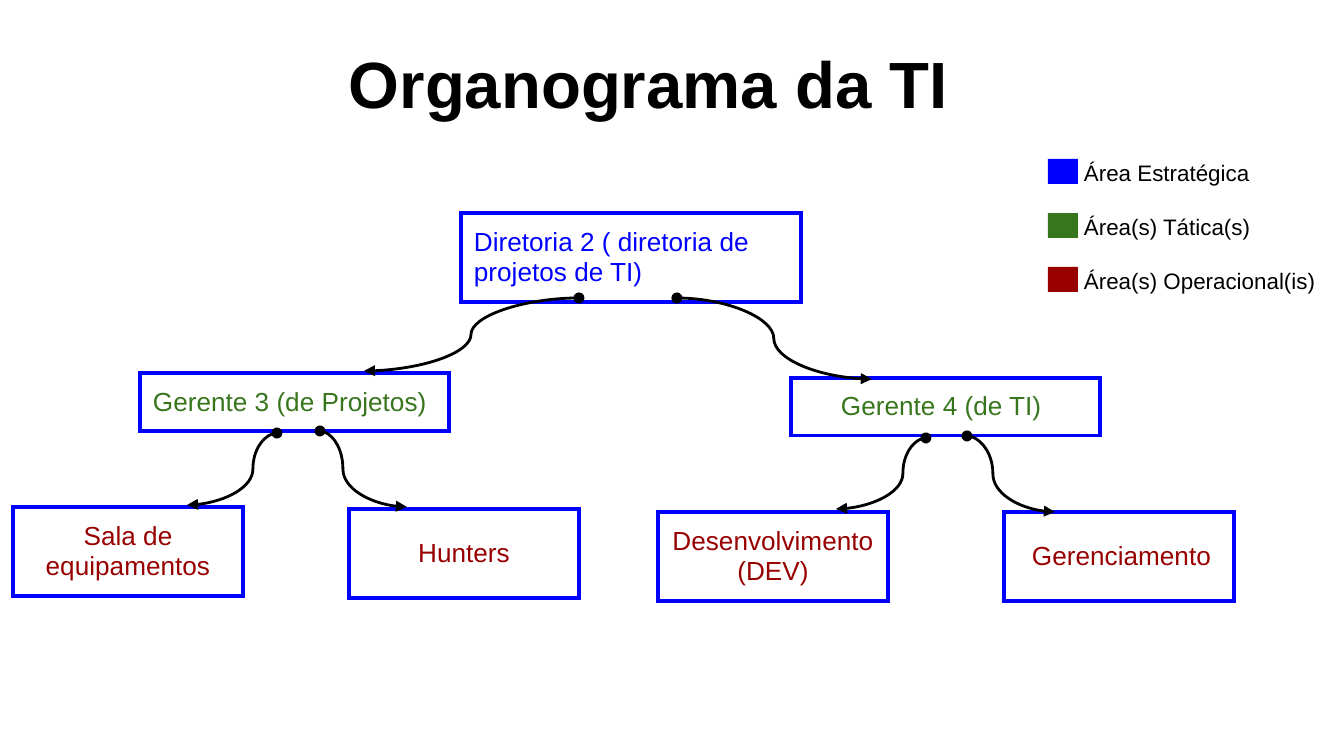
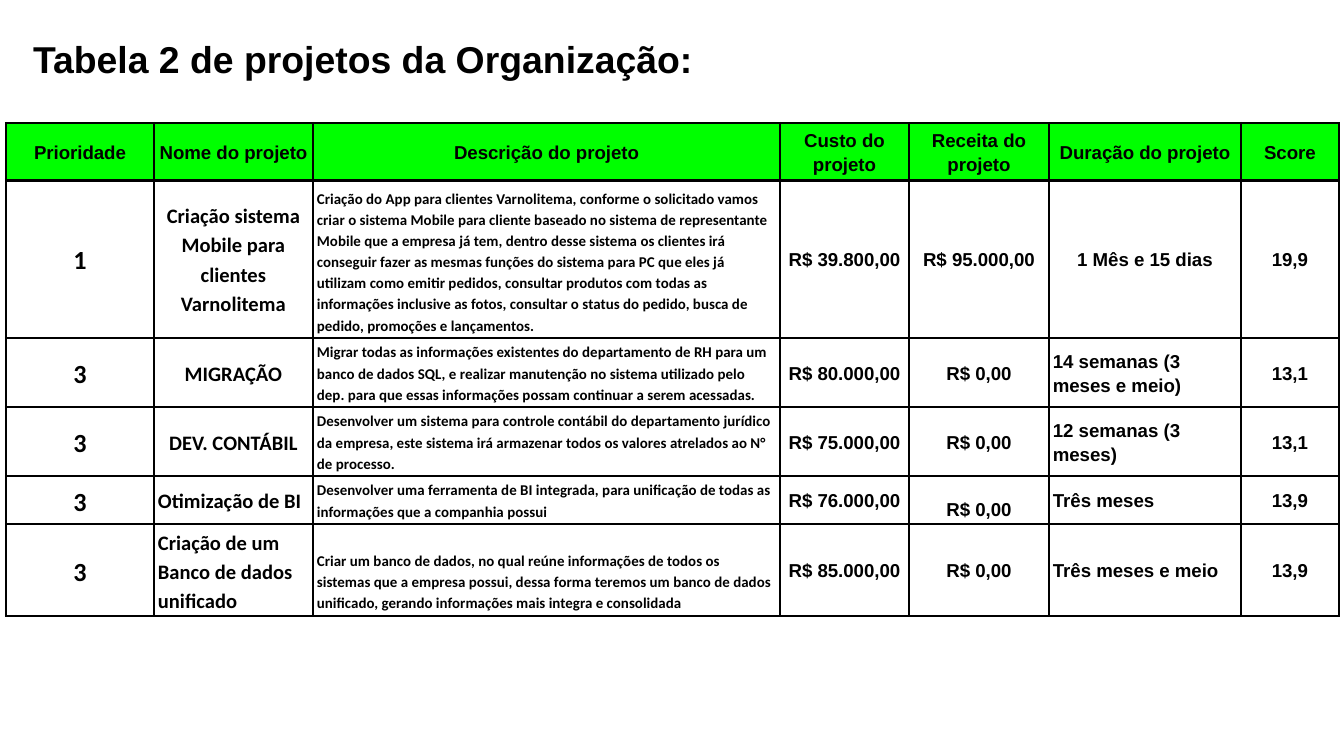
from lxml import etree
from pptx import Presentation
from pptx.dml.color import RGBColor
from pptx.enum.shapes import MSO_CONNECTOR, MSO_SHAPE
from pptx.enum.text import MSO_ANCHOR, PP_ALIGN
from pptx.oxml.ns import qn
from pptx.util import Pt

PX = 6804  # EMU in one px
LEFT, CENTER = PP_ALIGN.LEFT, PP_ALIGN.CENTER
MIDDLE, BOTTOM = MSO_ANCHOR.MIDDLE, MSO_ANCHOR.BOTTOM
RECT, CURVE = MSO_SHAPE.RECTANGLE, MSO_CONNECTOR.CURVE
C = {"black": "000000", "blue": "0000FF", "green": "38761D",
     "red": "980000", "header": "00FF00"}


def add_text(tf, lines, size, color="black", bold=False, font="Arial",
             align=LEFT, spacing=1.0):
    for i, line in enumerate(lines):
        p = tf.add_paragraph() if i else tf.paragraphs[0]
        p.alignment = align
        p.line_spacing = spacing
        r = p.add_run()
        r.text = line
        r.font.name, r.font.size, r.font.bold = font, Pt(size), bold
        r.font.color.rgb = RGBColor.from_string(C[color])


def add_grid(s, x, y, cols, rows, border, width, inset_x, inset_y):
    table = s.shapes.add_table(len(rows), len(cols), x * PX, y * PX,
                               sum(cols) * PX, sum(rows) * PX).table
    table.first_row = table.horz_banding = False
    for col, w in zip(table.columns, cols):
        col.width = w * PX
    for row, h in zip(table.rows, rows):
        row.height = h * PX
    for cell in table.iter_cells():
        cell.margin_left = cell.margin_right = inset_x * PX
        cell.margin_top = cell.margin_bottom = inset_y * PX
        cell.vertical_anchor = MIDDLE
        tcPr = cell._tc.get_or_add_tcPr()
        for side in ("a:lnL", "a:lnR", "a:lnT", "a:lnB"):
            ln = etree.SubElement(tcPr, qn(side), w=str(Pt(width)))
            fill = etree.SubElement(ln, qn("a:solidFill"))
            etree.SubElement(fill, qn("a:srgbClr"), val=C[border])
        cell.fill.background()
    return table


prs = Presentation()
prs.slide_width, prs.slide_height = 1344 * PX, 756 * PX
blank = prs.slide_layouts[6]
chart_slide = prs.slides.add_slide(blank)
table_slide = prs.slides.add_slide(blank)

# Text labels: slide, x, y, w, h, size, bold, text
labels = [
    (chart_slide, 349, 43, 956, 75, 35, True, "Organograma da TI"),
    (table_slide, 33, 36, 1290, 44, 20, True, "Tabela 2 de projetos da Organização:"),
]

# Legend
legend = [("blue", "Área Estratégica"), ("green", "Área(s) Tática(s)"),
          ("red", "Área(s) Operacional(is)")]
for i, (color, text) in enumerate(legend):
    y = 159 + 54 * i
    sp = chart_slide.shapes.add_shape(RECT, 1048 * PX, y * PX, 30 * PX, 25 * PX)
    sp.shadow.inherit = False
    sp.fill.solid()
    sp.fill.fore_color.rgb = RGBColor.from_string(C[color])
    sp.line.fill.background()
    labels.append((chart_slide, 1084, y, 260, 26, 12, False, text))

for s, x, y, w, h, size, bold, text in labels:
    tf = s.shapes.add_textbox(x * PX, y * PX, w * PX, h * PX).text_frame
    tf.word_wrap = True
    tf.margin_left = tf.margin_right = tf.margin_top = tf.margin_bottom = 0
    add_text(tf, [text], size, bold=bold)

# Organisation boxes: x, y, w, h, colour, alignment, left inset, lines
boxes = [
    (461, 213, 340, 85, "blue", LEFT, 13, ["Diretoria 2 ( diretoria de projetos de TI)"]),
    (140, 373, 309, 58, "green", LEFT, 13, ["Gerente 3 (de Projetos)"]),
    (791, 378, 309, 56, "green", LEFT, 50, ["Gerente 4 (de TI)"]),
    (13, 507, 230, 86, "red", CENTER, 13, ["Sala de equipamentos"]),
    (349, 509, 230, 89, "red", CENTER, 13, ["Hunters"]),
    (658, 512, 230, 89, "red", CENTER, 13, ["Desenvolvimento", "(DEV)"]),
    (1004, 512, 230, 89, "red", LEFT, 28, ["Gerenciamento"]),
]
for x, y, w, h, color, align, inset, lines in boxes:
    cell = add_grid(chart_slide, x, y, [w], [h], "blue", 2.25, 13, 13).cell(0, 0)
    cell.margin_left = inset * PX
    add_text(cell.text_frame, lines, 14, color, align=align)

# Curved arrows: parent x, y, child x, y, x of the bend
arrows = [
    (579, 298, 364, 371, 471), (677, 298, 872, 379, 774),
    (277, 433, 187, 505, 253), (320, 431, 407, 507, 343),
    (926, 438, 836, 509, 903), (967, 436, 1055, 512, 993),
]
for x1, y1, x2, y2, bend in arrows:
    cn = chart_slide.shapes.add_connector(CURVE, x1 * PX, y1 * PX, x2 * PX, y2 * PX)
    cn.line.color.rgb = RGBColor.from_string(C["black"])
    cn.line.width = Pt(1.5)
    ln = cn.line._get_or_add_ln()
    etree.SubElement(ln, qn("a:headEnd"), type="oval")
    etree.SubElement(ln, qn("a:tailEnd"), type="triangle")
    spPr = cn._element.spPr
    etree.SubElement(spPr, qn("a:effectLst"))
    geom = spPr.find(qn("a:prstGeom"))
    av = geom.find(qn("a:avLst"))
    if av is None:
        av = etree.SubElement(geom, qn("a:avLst"))
    adj = round((bend - x1) / (x2 - x1) * 100000)
    etree.SubElement(av, qn("a:gd"), name="adj1", fmla=f"val {adj}")

# Project table: body
cols = [148, 159, 467, 129, 140, 192, 98]
projects = [
    ["1", "Criação sistema Mobile para clientes Varnolitema",
     "Criação do App para clientes Varnolitema, conforme o solicitado vamos criar o "
     "sistema Mobile para cliente baseado no sistema de representante Mobile que a "
     "empresa já tem, dentro desse sistema os clientes irá conseguir fazer as mesmas "
     "funções do sistema para PC que eles já utilizam como emitir pedidos, consultar "
     "produtos com todas as informações inclusive as fotos, consultar o status do "
     "pedido, busca de pedido, promoções e lançamentos.",
     "R$ 39.800,00", "R$ 95.000,00", "1 Mês e 15 dias", "19,9"],
    ["3", "MIGRAÇÃO",
     "Migrar todas as informações existentes do departamento de RH para um banco de "
     "dados SQL, e realizar manutenção no sistema utilizado pelo dep. para que essas "
     "informações possam continuar a serem acessadas.",
     "R$ 80.000,00", "R$ 0,00", "14 semanas (3 meses e meio)", "13,1"],
    ["3", "DEV. CONTÁBIL",
     "Desenvolver um sistema para controle contábil do departamento jurídico da "
     "empresa, este sistema irá armazenar todos os valores atrelados ao N° de processo.",
     "R$ 75.000,00", "R$ 0,00", "12 semanas (3 meses)", "13,1"],
    ["3", "Otimização de BI",
     "Desenvolver uma ferramenta de BI integrada, para unificação de todas as "
     "informações que a companhia possui",
     "R$ 76.000,00", "R$ 0,00", "Três meses", "13,9"],
    ["3", "Criação de um Banco de dados unificado",
     "Criar um banco de dados, no qual reúne informações de todos os sistemas que a "
     "empresa possui, dessa forma teremos um banco de dados unificado, gerando "
     "informações mais integra e consolidada",
     "R$ 85.000,00", "R$ 0,00", "Três meses e meio", "13,9"],
]
fonts = [("Calibri", 14), ("Calibri", 11), ("Calibri", 8)] + [("Arial", 10)] * 4
left_cells = {(3, 1), (4, 1), (1, 5), (2, 5), (3, 5), (4, 5)}
body = add_grid(table_slide, 6, 179, cols, [159, 69, 69, 48, 92], "black", 1.5, 4, 3)
for i, project in enumerate(projects):
    for j, text in enumerate(project):
        cell = body.cell(i, j)
        font, size = fonts[j]
        align = LEFT if j == 2 or (i, j) in left_cells else CENTER
        if j == 2 or (i, j) == (3, 4):
            cell.vertical_anchor = BOTTOM
        add_text(cell.text_frame, [text], size, bold=True, font=font,
                 align=align, spacing=1.15)

# Project table: header
headings = ["Prioridade", "Nome do projeto", "Descrição do projeto", "Custo do projeto",
            "Receita do projeto", "Duração do projeto", "Score"]
header = add_grid(table_slide, 6, 123, cols, [54], "black", 1.5, 4, 3)
for cell, text in zip(header.iter_cells(), headings):
    cell.fill.solid()
    cell.fill.fore_color.rgb = RGBColor.from_string(C["header"])
    add_text(cell.text_frame, [text], 10, bold=True, align=CENTER, spacing=1.15)

prs.save("out.pptx")
